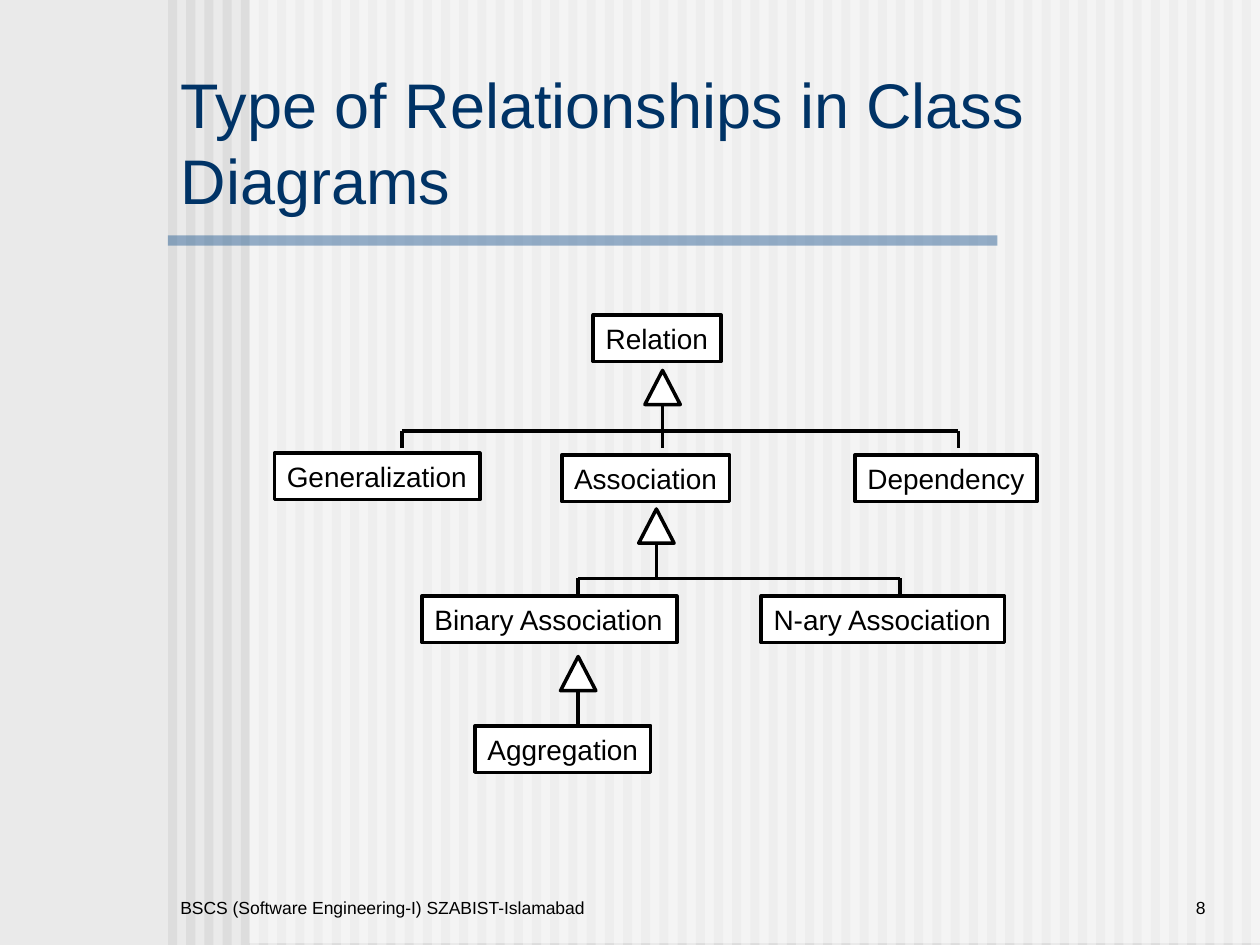
import pptx
import pptx.dml.color
import pptx.enum.shapes
import pptx.enum.text
import pptx.oxml
import pptx.oxml.ns
import pptx.util

Pt = pptx.util.Pt
Shape = pptx.enum.shapes.MSO_SHAPE
Anchor = pptx.enum.text.MSO_ANCHOR
Align = pptx.enum.text.PP_ALIGN


def tint(color, code):
    color.rgb = pptx.dml.color.RGBColor.from_string(code)


class Page:
    face = "Arial"
    ink = "000000"
    paper = "FFFFFF"
    weight = 2
    box_high = 26.6
    head = (20.2, 19.5)  # width and height of an arrow triangle

    def __init__(self, slide):
        self.slide = slide
        self.shapes = slide.shapes

    def back(self, code):
        fill = self.slide.background.fill
        fill.solid()
        tint(fill.fore_color, code)

    def shape(self, kind, x, y, wide, high, code, alpha=None, edge=False):
        item = self.shapes.add_shape(kind, Pt(x), Pt(y), Pt(wide), Pt(high))
        item.shadow.inherit = False
        item.fill.solid()
        tint(item.fill.fore_color, code)
        if alpha:
            node = item._element.spPr.find(".//" + pptx.oxml.ns.qn("a:srgbClr"))
            node.append(pptx.oxml.parse_xml(
                '<a:alpha %s val="%d"/>' % (pptx.oxml.ns.nsdecls("a"), alpha * 1000)))
        if edge:
            tint(item.line.color, self.ink)
            item.line.width = Pt(self.weight)
        else:
            item.line.fill.background()
        return item

    def label(self, item, text, size, code, anchor, align=Align.LEFT, wrap=True):
        frame = item.text_frame
        frame.text = text
        frame.word_wrap = wrap
        frame.auto_size = pptx.enum.text.MSO_AUTO_SIZE.NONE
        frame.vertical_anchor = anchor
        para = frame.paragraphs[0]
        para.alignment = align
        para.font.name = self.face
        para.font.size = Pt(size)
        tint(para.font.color, code)

    def title(self, text, x, y, wide, high):
        item = self.shapes.title
        item.left, item.top, item.width, item.height = map(Pt, (x, y, wide, high))
        self.label(item, text, 36, "003366", Anchor.BOTTOM)
        # The title must lie above the pale panel.
        self.shapes._spTree.append(item._element)

    def note(self, text, x, wide, align):
        item = self.shapes.add_textbox(Pt(x), Pt(492), Pt(wide), Pt(36))
        self.label(item, text, 10, self.ink, Anchor.BOTTOM, align)

    def box(self, text, x, y, wide):
        item = self.shape(Shape.RECTANGLE, x, y, wide, self.box_high, self.paper, edge=True)
        self.label(item, text, 16, self.ink, Anchor.MIDDLE, wrap=False)

    def line(self, x1, y1, x2, y2):
        item = self.shapes.add_connector(
            pptx.enum.shapes.MSO_CONNECTOR.STRAIGHT, Pt(x1), Pt(y1), Pt(x2), Pt(y2))
        tint(item.line.color, self.ink)
        item.line.width = Pt(self.weight)
        item._element.spPr.append(pptx.oxml.parse_xml(
            "<a:effectLst %s/>" % pptx.oxml.ns.nsdecls("a")))

    def arrow(self, x, tip, end):
        """Draw a hollow triangle with its tip up and a stem down to end."""
        wide, high = self.head
        self.shape(Shape.ISOSCELES_TRIANGLE, x - wide / 2, tip, wide, high,
                   self.paper, edge=True)
        self.line(x, tip + high, x, end)

    def fork(self, left, right, y, end):
        """Draw a bar with a short drop at each end."""
        self.line(left, y, right, y)
        for x in (left, right):
            self.line(x, y, x, end)


def main():
    deck = pptx.Presentation()
    deck.slide_width, deck.slide_height = Pt(720), Pt(540)
    page = Page(deck.slides.add_slide(deck.slide_layouts[5]))

    page.back("EAEAEA")
    for i in range(60):
        page.shape(Shape.RECTANGLE, 96 + 10.4 * i, 0, 5.2, 540, "DDDDDD")
    page.shape(Shape.RECTANGLE, 142.5, 0, 577.5, 539, page.paper, alpha=50)
    page.shape(Shape.RECTANGLE, 96, 134.5, 474, 5.8, "336699", alpha=50)

    page.title("Type of Relationships in Class Diagrams", 96, 78, 528, 49.5)
    page.note("BSCS (Software Engineering-I) SZABIST-Islamabad", 96, 432, Align.LEFT)
    page.note("8", 594, 102, Align.RIGHT)

    for text, x, y, wide in (
        ("Relation", 339, 180, 73),
        ("Association", 321, 260, 96),
        ("Generalization", 156.8, 259, 117.5),
        ("Dependency", 488.6, 260, 104),
        ("Aggregation", 271.5, 414.8, 100.4),
        ("Binary Association", 241.2, 340.6, 145.6),
        ("N-ary Association", 435, 340.6, 139),
    ):
        page.box(text, x, y, wide)

    page.arrow(378.6, 211.7, 256.2)
    page.fork(229.6, 547.7, 246.4, 256.2)
    page.arrow(375.1, 290.9, 330.5)
    page.fork(330.4, 514.3, 330.5, 340.6)
    page.arrow(330.4, 375.2, 414.8)

    deck.save("out.pptx")


if __name__ == "__main__":
    main()
